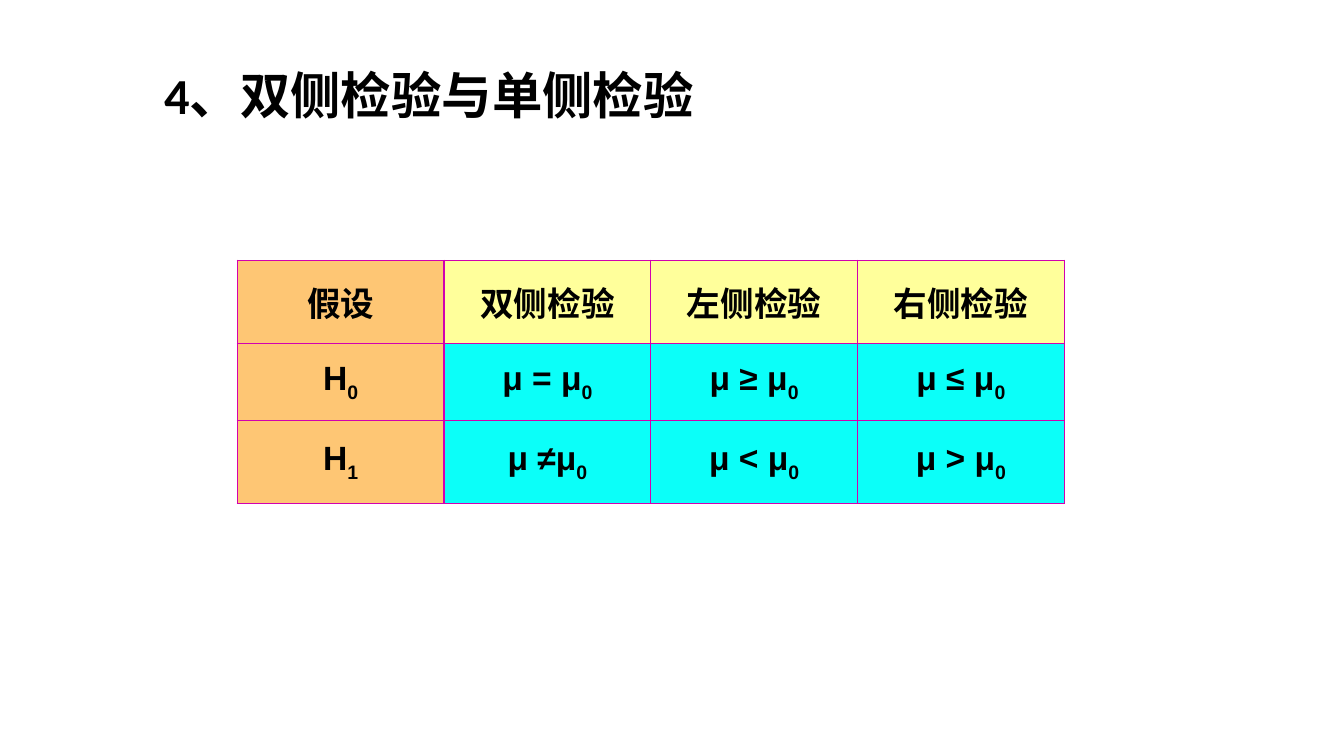
from lxml import etree
from pptx import Presentation
from pptx.dml.color import RGBColor
from pptx.enum import text
from pptx.oxml.ns import qn
from pptx.util import Cm, Pt

# Content: "_" marks the start of a subscript
TITLE = "4、双侧检验与单侧检验"
ROWS = [
    ("假设", "双侧检验", "左侧检验", "右侧检验"),
    ("H_0", "μ = μ_0", "μ ≥ μ_0", "μ ≤ μ_0"),
    ("H_1", "μ ≠μ_0", "μ < μ_0", "μ > μ_0"),
]
HUES = {"ink": "000000", "side": "FEC674", "head": "FFFF9B",
        "body": "0BFFF9", "line": "D200AF"}
HAN = "Noto Sans CJK SC"
WIDE = 5.21
HIGH = (2.09, 1.94, 2.09)


def add_run(para, words, size, face, base=0):
    run = para.add_run()
    run.text = words
    run.font.color.rgb = RGBColor.from_string(HUES["ink"])
    for key, val in {"size": Pt(size), "bold": True, "name": face}.items():
        setattr(run.font, key, val)
    props = run._r.get_or_add_rPr()
    etree.SubElement(props, qn("a:ea")).set("typeface", HAN)
    if base:
        props.set("baseline", str(base))


def add_edges(cell):
    props = cell._tc.get_or_add_tcPr()
    for spot, side in enumerate("LRTB"):
        line = etree.Element(qn("a:ln" + side), w=str(Pt(1)))
        fill = etree.SubElement(line, qn("a:solidFill"))
        etree.SubElement(fill, qn("a:srgbClr"), val=HUES["line"])
        props.insert(spot, line)


deck = Presentation()
deck.slide_width, deck.slide_height = Cm(33.87), Cm(19.05)
slide = deck.slides.add_slide(deck.slide_layouts[6])

# Title
frame = slide.shapes.add_textbox(Cm(3.89), Cm(1.52), Cm(14.35), Cm(1.93)).text_frame
frame.word_wrap = True
frame.vertical_anchor = text.MSO_ANCHOR.MIDDLE
frame.paragraphs[0].line_spacing = 0.9
add_run(frame.paragraphs[0], TITLE, 36, "Calibri")

# Table of hypotheses
cols = len(ROWS[0])
grid = slide.shapes.add_table(len(ROWS), cols, Cm(5.98), Cm(6.56),
                              Cm(WIDE * cols), Cm(sum(HIGH))).table
for col in grid.columns:
    col.width = Cm(WIDE)
for r, row in enumerate(ROWS):
    grid.rows[r].height = Cm(HIGH[r])
    for c, words in enumerate(row):
        cell = grid.cell(r, c)
        hue = "side" if c == 0 else "head" if r == 0 else "body"
        cell.fill.solid()
        cell.fill.fore_color.rgb = RGBColor.from_string(HUES[hue])
        cell.vertical_anchor = text.MSO_ANCHOR.MIDDLE
        add_edges(cell)
        para = cell.text_frame.paragraphs[0]
        para.alignment = text.PP_ALIGN.CENTER
        face = HAN if hue == "head" else "Arial"
        main, _, sub = words.partition("_")
        add_run(para, main, 24, face)
        if sub:
            add_run(para, sub, 24, face, -25000)

deck.save("out.pptx")
